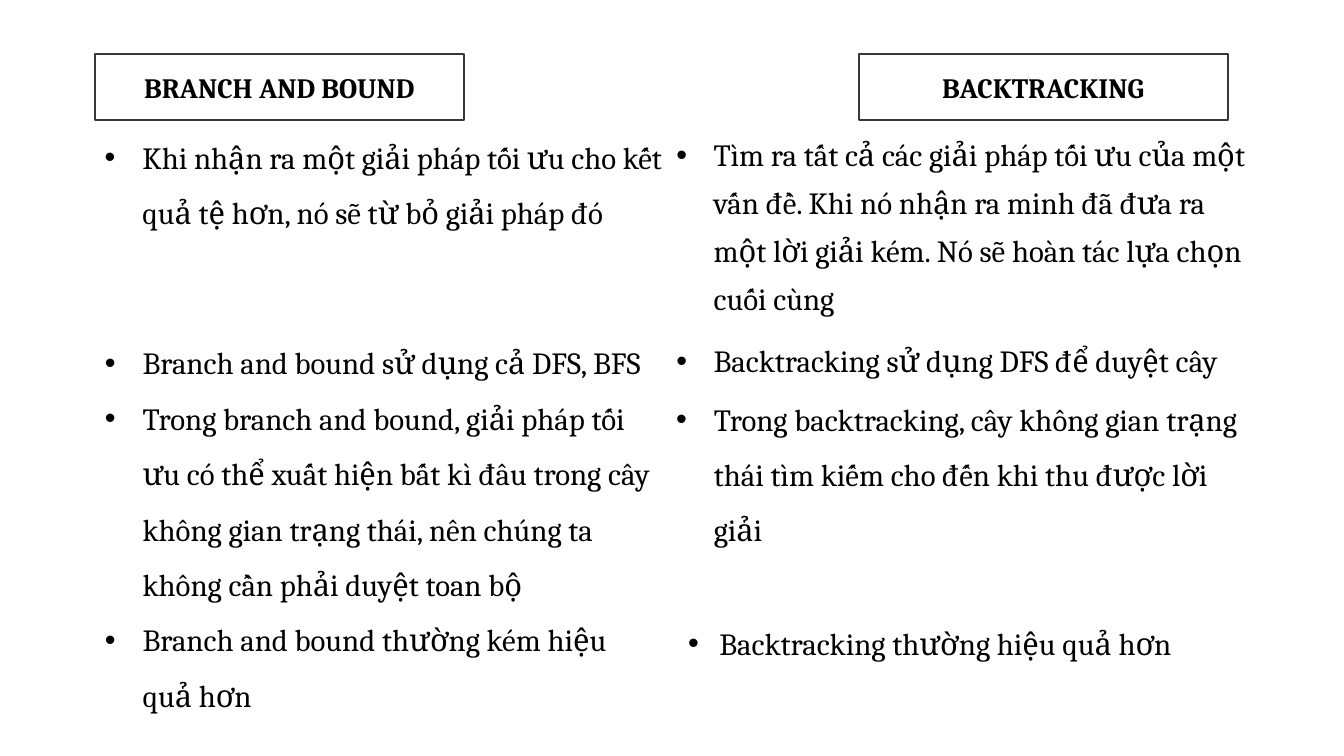
from dataclasses import dataclass
from typing import Optional

from lxml.etree import SubElement
from pptx import Presentation
from pptx.dml.color import RGBColor
from pptx.enum.shapes import MSO_SHAPE
from pptx.enum.text import MSO_ANCHOR, MSO_AUTO_SIZE as AutoSize, PP_ALIGN
from pptx.oxml.ns import qn
from pptx.util import Cm, Pt

COLORS = {"text": "000000", "box": "FFFFFF", "border": "383838"}
FONT = "Cambria"
LEFT_COL, RIGHT_COL = 2.39, 16.79


@dataclass
class Heading:
    text: str
    left: float


@dataclass
class BulletList:
    left: float
    top: float
    width: float
    height: float
    items: list[str]
    indent: float = 0.95
    spacing: float = 1.5
    after: float = 0
    placeholder: Optional[int] = None


HEADINGS = [Heading("BRANCH AND BOUND", LEFT_COL), Heading("BACKTRACKING", 21.64)]

LISTS = [
    BulletList(RIGHT_COL, 3.02, 15.09, 6.5, [
        "Tìm ra tất cả các giải pháp tối ưu của một vấn đề. Khi nó nhận ra minh "
        "đã đưa ra một lời giải kém. Nó sẽ hoàn tác lựa chọn cuối cùng",
        "Backtracking sử dụng DFS để duyệt cây",
    ], indent=0.94, spacing=1.3, after=10, placeholder=2),
    BulletList(LEFT_COL, 2.9, 14.55, 2.9, [
        "Khi nhận ra một giải pháp tối ưu cho kết quả tệ hơn, nó sẽ từ bỏ giải pháp đó",
    ]),
    BulletList(LEFT_COL, 8.08, 14.38, 9.96, [
        "Branch and bound sử dụng cả DFS, BFS",
        "Trong branch and bound, giải pháp tối ưu có thể xuất hiện bất kì đâu trong "
        "cây không gian trạng thái, nên chúng ta không cần phải duyệt toan bộ",
        "Branch and bound thường kém hiệu quả hơn",
    ], placeholder=1),
    BulletList(RIGHT_COL, 9.5, 14.94, 4.32, [
        "Trong backtracking, cây không gian trạng thái tìm kiếm cho đến khi thu được lời giải",
    ]),
    BulletList(17.09, 15.62, 16.76, 1.19, [
        "Backtracking thường hiệu quả hơn",
    ], indent=0.79, spacing=1),
]


def color(name: str) -> RGBColor:
    return RGBColor.from_string(COLORS[name])


def format_runs(p, size: float, bold: bool = False) -> None:
    for r in p.runs:
        r.font.name = FONT
        r.font.size = Pt(size)
        r.font.bold = bold
        r.font.color.rgb = color("text")


def add_heading(slide, heading: Heading) -> None:
    sp = slide.shapes.add_shape(
        MSO_SHAPE.RECTANGLE, Cm(heading.left), Cm(1.37), Cm(9.3), Cm(1.65))
    sp.shadow.inherit = False
    sp.fill.solid()
    sp.fill.fore_color.rgb = color("box")
    sp.line.color.rgb = color("border")
    sp.line.width = Pt(1.25)
    tf = sp.text_frame
    tf.vertical_anchor = MSO_ANCHOR.MIDDLE
    tf.text = heading.text
    p = tf.paragraphs[0]
    p.alignment = PP_ALIGN.CENTER
    format_runs(p, 20, bold=True)


def set_bullet(p, indent: float) -> None:
    pPr = p._p.get_or_add_pPr()
    pPr.set("marL", str(Cm(indent)))
    pPr.set("indent", str(-Cm(indent)))
    SubElement(pPr, qn("a:buFont")).set("typeface", "Arial")
    SubElement(pPr, qn("a:buChar")).set("char", "•")


def add_list(slide, spec_list: BulletList) -> None:
    b = spec_list
    box = Cm(b.left), Cm(b.top), Cm(b.width), Cm(b.height)
    if b.placeholder is None:
        sp = slide.shapes.add_textbox(*box)
    else:
        sp = slide.placeholders[b.placeholder]
        sp.left, sp.top, sp.width, sp.height = box
    tf = sp.text_frame
    tf.word_wrap = True
    tf.auto_size = AutoSize.NONE
    tf.text = "\n".join(b.items)
    for p in tf.paragraphs:
        p.line_spacing = b.spacing
        p.space_before = Pt(0)
        p.space_after = Pt(b.after)
        set_bullet(p, b.indent)
        format_runs(p, 22)


def main() -> None:
    prs = Presentation()
    prs.slide_width, prs.slide_height = Cm(33.87), Cm(19.05)
    slide = prs.slides.add_slide(prs.slide_layouts.get_by_name("Two Content"))

    # The two headings take the place of a slide title
    title = slide.shapes.title.element
    title.getparent().remove(title)
    for heading in HEADINGS:
        add_heading(slide, heading)

    # Compared points, column by column
    for bullet_list in LISTS:
        add_list(slide, bullet_list)

    prs.save("out.pptx")


if __name__ == "__main__":
    main()
